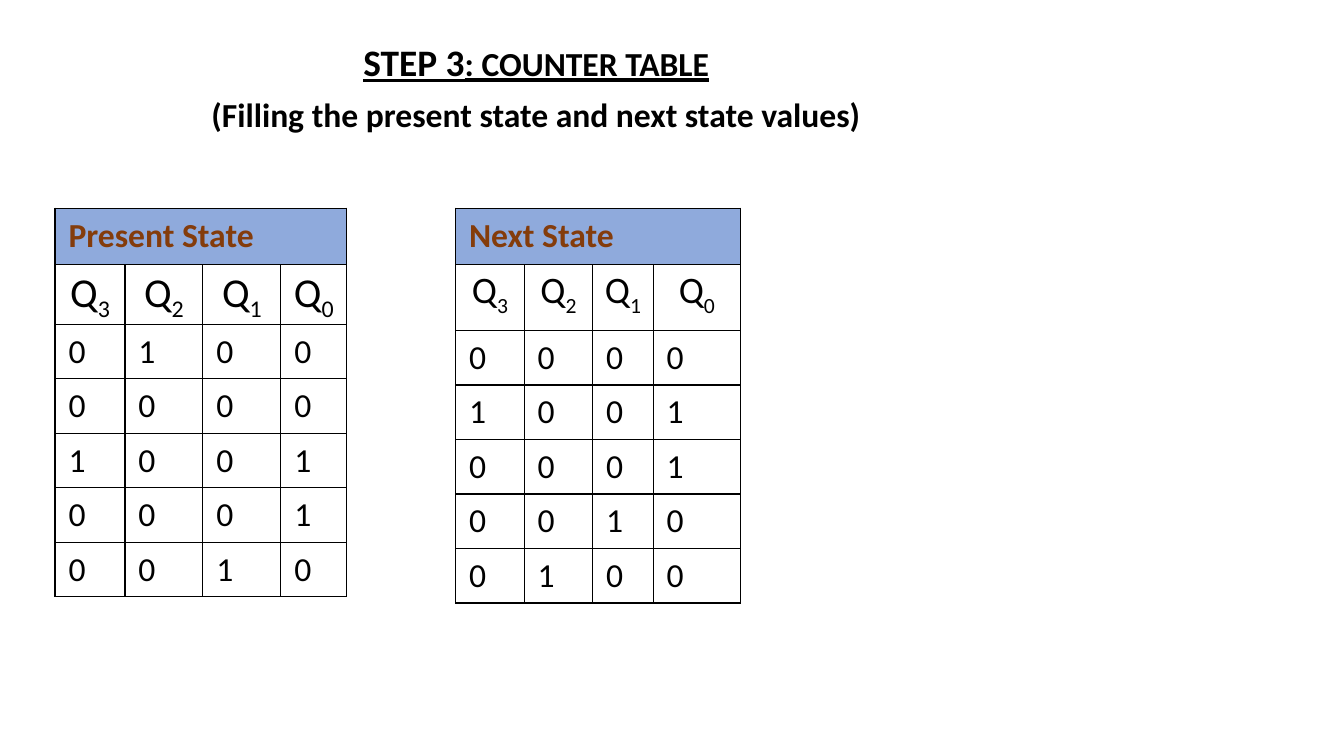
from lxml import etree
from pptx import Presentation
from pptx.dml.color import RGBColor
from pptx.enum.text import MSO_ANCHOR, MSO_AUTO_SIZE, PP_ALIGN
from pptx.oxml.ns import qn
from pptx.util import Inches, Pt

CENTER = PP_ALIGN.CENTER
TOP = MSO_ANCHOR.TOP
NO_FIT = MSO_AUTO_SIZE.NONE
FONT = "Calibri"
BLACK, BROWN, BLUE = "000000", "843C0B", "8FAADC"
BANNER_TOP, BANNER_HEIGHT, ROW_HEIGHT = 1.55, 0.42, 0.32
PRESENT_STATES = ["0100", "0000", "1001", "0001", "0010"]
NEXT_STATES = ["0000", "1001", "0001", "0010", "0100"]


def color(value):
    """Turn a hex string into a colour."""
    return RGBColor.from_string(value)


def add_span(para, text, size, ink=BLACK, bold=False, underline=False):
    """Add one formatted run to a paragraph."""
    span = para.add_run()
    span.text = text
    font = span.font
    font.name, font.size = FONT, Pt(size)
    font.bold, font.underline = bold, underline
    font.color.rgb = color(ink)
    return span


def add_borders(cell):
    """Draw thin black lines on all four sides of a cell."""
    properties = cell._tc.get_or_add_tcPr()
    for index, side in enumerate(("lnL", "lnR", "lnT", "lnB")):
        line = etree.Element(qn("a:" + side), w=str(Pt(0.75)))
        fill = etree.SubElement(line, qn("a:solidFill"))
        etree.SubElement(fill, qn("a:srgbClr"), val=BLACK)
        properties.insert(index, line)


def add_grid(page, left, top, widths, heights):
    """Add a plain bordered table with the given columns and rows."""
    frame = page.shapes.add_table(
        len(heights), len(widths), Inches(left), Inches(top),
        Inches(sum(widths)), Inches(sum(heights)))
    table = frame.table
    table.first_row = table.horz_banding = False
    for column, width in zip(table.columns, widths):
        column.width = Inches(width)
    for row, height in zip(table.rows, heights):
        row.height = Inches(height)
    for cell in table.iter_cells():
        cell.fill.background()
        add_borders(cell)
    return table


def fill_header(cell, digit, size):
    """Write a centred Q with a subscript digit."""
    cell.margin_left = cell.margin_right = Inches(0.07)
    cell.margin_top = cell.margin_bottom = 0
    para = cell.text_frame.paragraphs[0]
    para.alignment, para.line_spacing = CENTER, 1.07
    add_span(para, "Q", size)
    subscript = add_span(para, digit, size)
    subscript.font._element.set("baseline", "-25000")


def add_state_table(page, name, left, widths, header_height, header_size, states):
    """Add a state table below its coloured banner."""
    heights = [header_height] + [ROW_HEIGHT] * len(states)
    grid = add_grid(page, left, BANNER_TOP + BANNER_HEIGHT, widths, heights)
    for column, digit in enumerate("3210"):
        fill_header(grid.cell(0, column), digit, header_size)
    for row, state in enumerate(states, start=1):
        for column, bit in enumerate(state):
            add_span(grid.cell(row, column).text_frame.paragraphs[0], bit, 18)
    banner = add_grid(page, left, BANNER_TOP, [sum(widths)], [BANNER_HEIGHT]).cell(0, 0)
    banner.fill.solid()
    banner.fill.fore_color.rgb = color(BLUE)
    add_span(banner.text_frame.paragraphs[0], name, 18, BROWN, bold=True)


def add_title(page):
    """Place and write the two-line title."""
    title = page.shapes.title
    title.left, title.top = Inches(0.24), Inches(0.28)
    title.width, title.height = Inches(7.5), Inches(1.36)
    frame = title.text_frame
    frame.word_wrap, frame.auto_size, frame.vertical_anchor = True, NO_FIT, TOP
    heading, subheading = frame.paragraphs[0], frame.add_paragraph()
    for para in (heading, subheading):
        para.alignment, para.line_spacing, para.space_before = CENTER, 0.9, Pt(7.5)
    add_span(heading, "STEP 3", 20, bold=True, underline=True)
    add_span(heading, ": COUNTER TABLE", 18, bold=True, underline=True)
    add_span(subheading, "(Filling the present state and next state values)", 18, bold=True)


def main():
    """Build the counter table slide."""
    deck = Presentation()
    deck.slide_width = Inches(10)
    deck.slide_height = deck.slide_width * 9 // 16
    page = deck.slides.add_slide(deck.slide_layouts[5])
    add_title(page)
    add_state_table(page, "Present State", 0.41, [0.52, 0.58, 0.58, 0.49],
                    ROW_HEIGHT, 22, PRESENT_STATES)
    add_state_table(page, "Next State", 3.39, [0.51, 0.51, 0.45, 0.65],
                    0.49, 20, NEXT_STATES)
    deck.save("out.pptx")


main()
